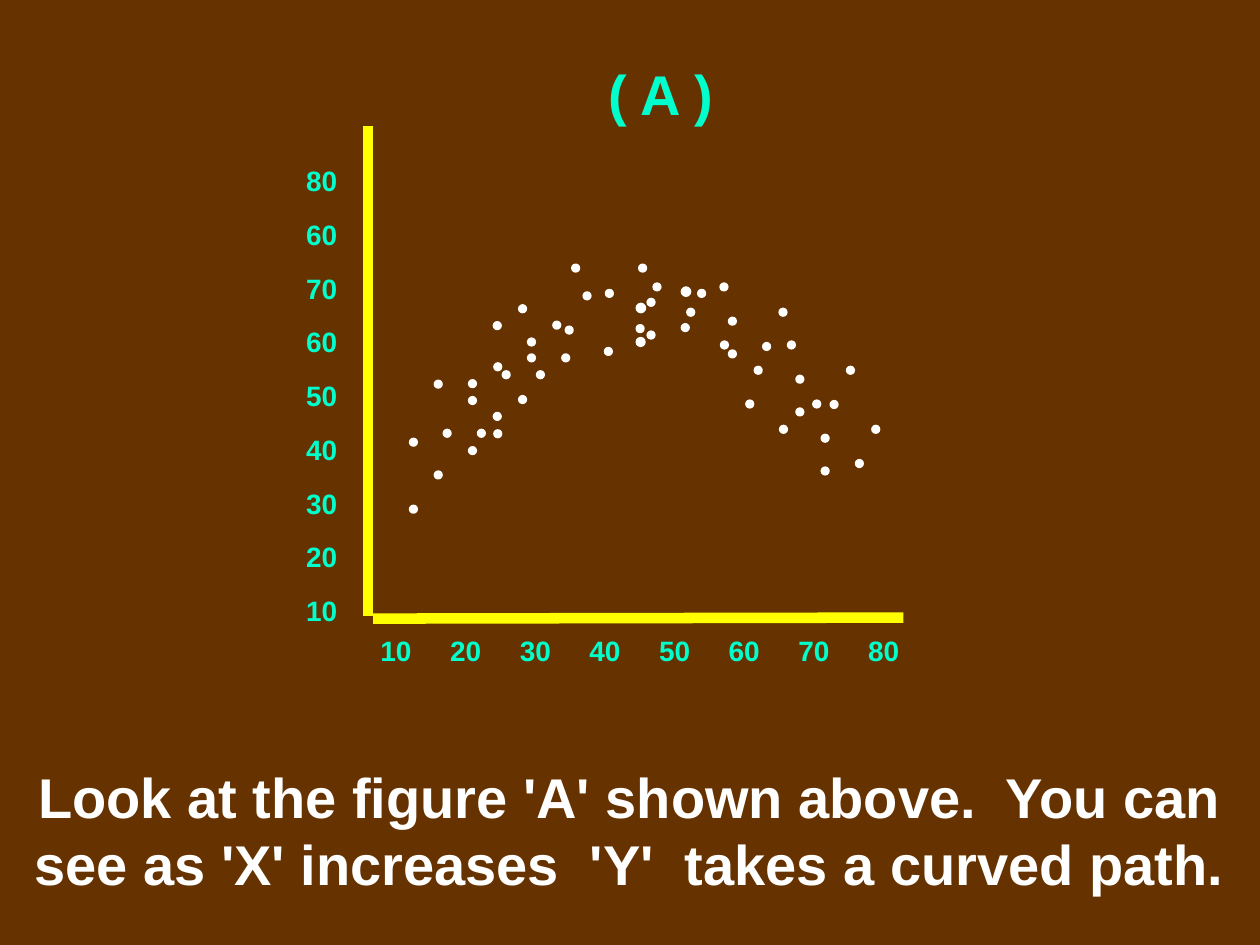
"""Build a slide showing a curved scatter of points between two axes."""
from lxml import etree
from pptx import Presentation
from pptx.dml.color import RGBColor
from pptx.enum.shapes import MSO_CONNECTOR, MSO_SHAPE
from pptx.enum.text import MSO_ANCHOR, MSO_AUTO_SIZE, PP_ALIGN
from pptx.oxml.ns import qn
from pptx.util import Cm, Pt

STRAIGHT = MSO_CONNECTOR.STRAIGHT
OVAL = MSO_SHAPE.OVAL
TOP, NO_FIT = MSO_ANCHOR.TOP, MSO_AUTO_SIZE.NONE
LEFT, CENTER = PP_ALIGN.LEFT, PP_ALIGN.CENTER
BROWN, YELLOW, AQUA, WHITE = "663300", "FFFF00", "00FFCC", "FFFFFF"


def color(value):
    return RGBColor.from_string(value)


def write_text(shape, box, text, size, text_color, alignment):
    shape.left, shape.top, shape.width, shape.height = map(Cm, box)
    text_frame = shape.text_frame
    text_frame.text = text
    text_frame.word_wrap = True
    text_frame.auto_size = NO_FIT
    text_frame.vertical_anchor = TOP
    for paragraph in text_frame.paragraphs:
        paragraph.alignment = alignment
        for run in paragraph.runs:
            run.font.name = "Arial"
            run.font.size = Pt(size)
            run.font.bold = True
            run.font.color.rgb = color(text_color)
    return text_frame


presentation = Presentation()
presentation.slide_width, presentation.slide_height = Cm(25.4), Cm(19.05)
slide = presentation.slides.add_slide(presentation.slide_layouts[5])
slide.background.fill.solid()
slide.background.fill.fore_color.rgb = color(BROWN)
shapes = slide.shapes

write_text(shapes.title, (7.19, 1.07, 12.27, 1.6), "( A )", 32, AQUA, CENTER)

caption = ("Look at the figure 'A' shown above.  You can see as 'X' increases  "
           "'Y'  takes a curved path.")
write_text(shapes.add_textbox(0, 0, 0, 0), (0, 15.24, 25.4, 2.97),
           caption, 32, WHITE, CENTER)

x_labels = [str(value) for value in range(10, 90, 10)]
x_text = write_text(shapes.add_textbox(0, 0, 0, 0), (7.42, 12.65, 14.38, 0.94),
                    "\t".join(x_labels), 16, AQUA, LEFT)
x_label_span = 9.83
properties = x_text.paragraphs[0]._p.get_or_add_pPr()
tab_list = etree.SubElement(properties, qn("a:tabLst"))
for index in range(1, len(x_labels)):
    position = Cm(x_label_span * index / (len(x_labels) - 1))
    etree.SubElement(tab_list, qn("a:tab"), pos=str(position), algn="l")

y_labels = ["80", "60", "70", "60", "50", "40", "30", "20", "10"]
y_text = write_text(shapes.add_textbox(0, 0, 0, 0), (5.92, 2.77, 1.14, 10.01),
                    "\n".join(y_labels), 16, AQUA, LEFT)
y_text.word_wrap = False
for paragraph in y_text.paragraphs:
    paragraph.line_spacing = 1.6

rising_cluster = [(8.26, 8.84), (8.76, 9.5), (8.26, 10.19), (8.76, 7.67),
                  (9.63, 8.66), (9.45, 8), (8.94, 8.66)]
rising_shifts = [(0, 0), (1.19, -1.18), (1.7, -1.52)]
falling_cluster = [(15.88, 6.88), (15.21, 7.39), (14.53, 6.88), (17.07, 7.39),
                   (16.05, 8.23), (16.74, 8.08), (16.05, 7.57)]
falling_shifts = [(-3, -1.55), (-1.36, -1.17), (0, 0), (0.51, 1.19)]

dots = [(13.74, 5.79, 0.18), (12.83, 6.12, 0.18), (12.83, 6.81, 0.17),
        (11.4, 6.58, 0.15), (11.76, 5.89, 0.15), (12.19, 7.01, 0.15),
        (12.83, 6.55, 0.15)]
for cluster, shifts in ((rising_cluster, rising_shifts),
                        (falling_cluster, falling_shifts)):
    for shift_x, shift_y in shifts:
        dots += [(x + shift_x, y + shift_y, 0.15) for x, y in cluster]

for x, y, size in dots:
    dot = shapes.add_shape(OVAL, Cm(x), Cm(y), Cm(size), Cm(size))
    dot.shadow.inherit = False
    dot.fill.solid()
    dot.fill.fore_color.rgb = color(WHITE)
    dot.line.color.rgb = color(WHITE)
    dot.line.width = Pt(1)

for ends in ((7.52, 12.47, 18.21, 12.45), (7.42, 12.42, 7.42, 2.54)):
    axis = shapes.add_connector(STRAIGHT, *map(Cm, ends))
    axis.line.color.rgb = color(YELLOW)
    axis.line.width = Pt(6)
    etree.SubElement(axis._element.spPr, qn("a:effectLst"))

presentation.save("out.pptx")
